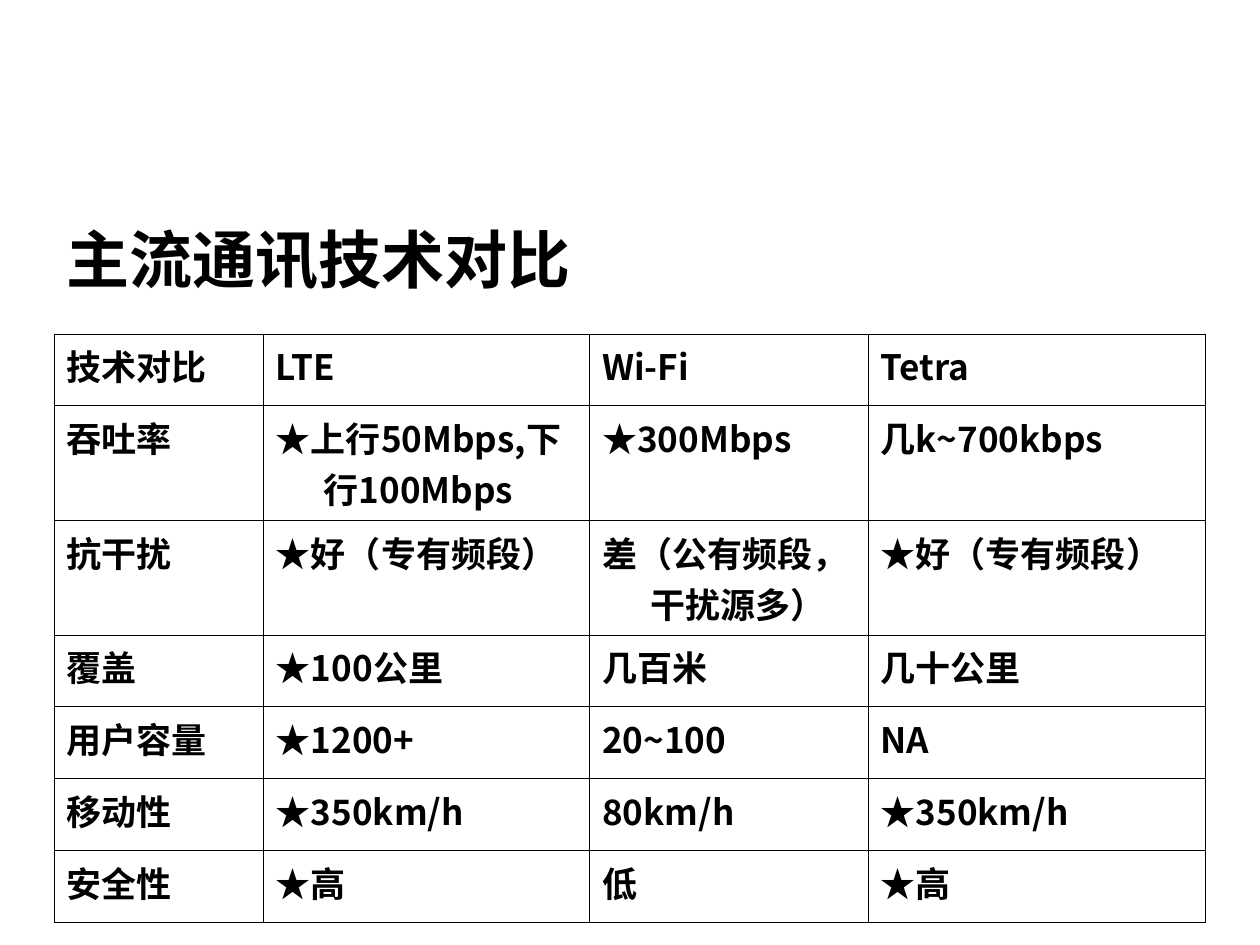
from lxml import etree
from pptx import Presentation, util as u
from pptx.dml.color import RGBColor
from pptx.enum import text
from pptx.oxml.ns import qn

BLACK, WHITE = "000000", "FFFFFF"
MARGIN = 0.43


def color(hex_value):
    return RGBColor.from_string(hex_value)


def format_run(run, font, size):
    run.font.name, run.font.size, run.font.bold = font, u.Pt(size), True
    run.font.color.rgb = color(BLACK)
    east_asian = etree.SubElement(run.font._element, qn("a:ea"))
    east_asian.set("typeface", font)


deck = Presentation()
deck.slide_width, deck.slide_height = u.Inches(10), u.Inches(7.5)
slide = deck.slides.add_slide(deck.slide_layouts[5])

# Title
title = slide.shapes.title
title.left, title.top = u.Inches(MARGIN), u.Inches(1.7)
title.width, title.height = u.Inches(7.56), u.Inches(0.7)
frame = title.text_frame
frame.text = "主流通讯技术对比"
frame.word_wrap = True
frame.auto_size = text.MSO_AUTO_SIZE.SHAPE_TO_FIT_TEXT
frame.vertical_anchor = text.MSO_ANCHOR.TOP
heading = frame.paragraphs[0]
heading.alignment = text.PP_ALIGN.LEFT
heading.space_before = u.Pt(0)
format_run(heading.runs[0], "Arial", 36)

# Comparison of the technologies, one row per criterion
comparison = [
    ["技术对比", "LTE", "Wi-Fi", "Tetra"],
    ["吞吐率", "★上行50Mbps,下行100Mbps", "★300Mbps", "几k~700kbps"],
    ["抗干扰", "★好（专有频段）", "差（公有频段，干扰源多）", "★好（专有频段）"],
    ["覆盖", "★100公里", "几百米", "几十公里"],
    ["用户容量", "★1200+", "20~100", "NA"],
    ["移动性", "★350km/h", "80km/h", "★350km/h"],
    ["安全性", "★高", "低", "★高"],
]
column_widths = [1.66, 2.59, 2.21, 2.68]
row_heights = [0.57, 0.91, 0.91] + [0.57] * 4

table = slide.shapes.add_table(
    len(row_heights), len(column_widths), u.Inches(MARGIN), u.Inches(2.65),
    u.Inches(sum(column_widths)), u.Inches(sum(row_heights))).table
for column, width in zip(table.columns, column_widths):
    column.width = u.Inches(width)
for row, height in zip(table.rows, row_heights):
    row.height = u.Inches(height)

for row, entries in zip(table.rows, comparison):
    for cell, entry in zip(row.cells, entries):
        cell.text_frame.text = entry
        paragraph = cell.text_frame.paragraphs[0]
        format_run(paragraph.runs[0], "Noto Sans CJK SC", 20)

        # Hanging indent for wrapped lines
        properties = paragraph._p.get_or_add_pPr()
        properties.set("marL", str(u.Inches(0.38)))
        properties.set("indent", str(u.Inches(-0.38)))

        # Thin borders come before the fill in the cell properties
        cell_properties = cell._tc.get_or_add_tcPr()
        for side in ("lnL", "lnR", "lnT", "lnB"):
            border = etree.SubElement(cell_properties, qn(f"a:{side}"), w=str(u.Pt(0.45)))
            border_fill = etree.SubElement(border, qn("a:solidFill"))
            etree.SubElement(border_fill, qn("a:srgbClr"), val=BLACK)
        cell.fill.solid()
        cell.fill.fore_color.rgb = color(WHITE)

deck.save("out.pptx")
